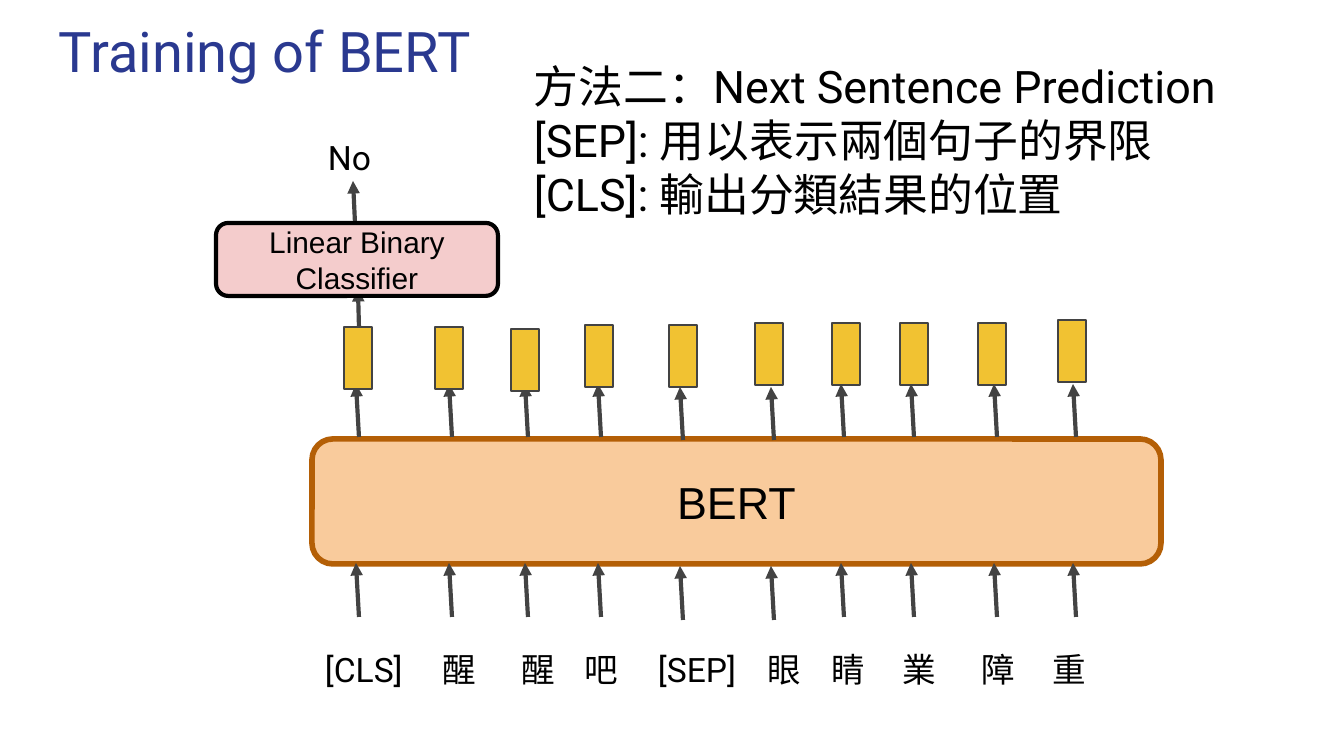
"""Build the slide on BERT training by next sentence prediction."""
from lxml import etree
from pptx import Presentation
from pptx.dml.color import RGBColor
from pptx.enum.shapes import MSO_CONNECTOR, MSO_SHAPE
from pptx.enum.text import MSO_ANCHOR, PP_ALIGN
from pptx.oxml.ns import qn
from pptx.util import Emu, Pt

RECT, ROUND = MSO_SHAPE.RECTANGLE, MSO_SHAPE.ROUNDED_RECTANGLE
STRAIGHT = MSO_CONNECTOR.STRAIGHT
MIDDLE = MSO_ANCHOR.MIDDLE
LEFT, CENTER = PP_ALIGN.LEFT, PP_ALIGN.CENTER
SCALE = 914400 / 134.4
INSET = 13

TITLE = ["Training of BERT"]
METHOD = [
    "方法二：Next Sentence Prediction",
    "[SEP]: 用以表示兩個句子的界限",
    "[CLS]: 輸出分類結果的位置",
]
# token, token x, (output x, output y), arrow x, arrow drop
TOKENS = [
    ("[CLS]", 325, (344, 327), 356, 0),
    ("醒", 443, (435, 327), 449, 0),
    ("醒", 522, (511, 329), 525, 0),
    ("吧", 585, (585, 325), 598, 0),
    ("[SEP]", 658, (669, 325), 680, 3),
    ("眼", 768, (755, 323), 771, 3),
    ("睛", 832, (832, 323), 841, 0),
    ("業", 903, (900, 323), 911, 0),
    ("障", 982, (978, 323), 994, 0),
    ("重", 1053, (1058, 320), 1073, 0),
]
OUTPUT_SIZE = (28, 62)
ARROW_ROWS = [(437, 384), (617, 563)]
CLASSIFIER_ARROWS = [((359, 327), (358, 289)), ((355, 223), (353, 181))]
TOKEN_BOX = (312, 636, 863, 75)

HEADING = {"size": Pt(30), "name": "Roboto"}
BODY = {"size": Pt(24), "name": "Roboto"}
SMALL = {"size": Pt(18), "name": "Roboto"}
MODEL = {"size": Pt(24), "name": "Arial"}
LABEL = {"size": Pt(16), "name": "Arial"}


def px(*values):
    return [Emu(round(v * SCALE)) for v in values]


def rgb(value):
    return RGBColor.from_string(value)


def write(sp, lines, font, color="000000", align=LEFT):
    tf = sp.text_frame
    tf.word_wrap = True
    for side in ("left", "top", "right", "bottom"):
        setattr(tf, f"margin_{side}", px(INSET)[0])
    for i, line in enumerate(lines):
        p = tf.add_paragraph() if i else tf.paragraphs[0]
        p.alignment = align
        r = p.add_run()
        r.text = line
        r.font.color.rgb = rgb(color)
        for key, value in font.items():
            setattr(r.font, key, value)
    return tf


def add_text(s, box, *args, **kwargs):
    return write(s.shapes.add_textbox(*px(*box)), *args, **kwargs)


def add_box(s, kind, box, fill, line, width):
    sp = s.shapes.add_shape(kind, *px(*box))
    sp.shadow.inherit = False
    sp.fill.solid()
    sp.fill.fore_color.rgb = rgb(fill)
    sp.line.color.rgb = rgb(line)
    sp.line.width = Pt(width)
    return sp


def add_label(s, box, fill, line, width, text, font):
    sp = add_box(s, ROUND, box, fill, line, width)
    write(sp, [text], font, align=CENTER).vertical_anchor = MIDDLE


def add_arrow(s, start, end):
    sp = s.shapes.add_connector(STRAIGHT, *px(*start, *end))
    sp.line.color.rgb = rgb("434343")
    sp.line.width = Pt(2.25)
    etree.SubElement(sp.line._get_or_add_ln(), qn("a:tailEnd"), type="triangle")
    etree.SubElement(sp._element.spPr, qn("a:effectLst"))


def add_tokens(s):
    line = "\t".join(token for token, *_ in TOKENS)
    p = add_text(s, TOKEN_BOX, [line], SMALL).paragraphs[0]
    tabs = etree.SubElement(p._p.get_or_add_pPr(), qn("a:tabLst"))
    for _, x, *_ in TOKENS[1:]:
        pos = px(x - TOKEN_BOX[0] - INSET)[0]
        etree.SubElement(tabs, qn("a:tab"), pos=str(int(pos)), algn="l")


def main():
    prs = Presentation()
    prs.slide_width, prs.slide_height = px(1344, 756)
    s = prs.slides.add_slide(prs.slide_layouts[6])
    add_text(s, (46, 4, 1253, 89), TITLE, HEADING, "2A3990")
    add_text(s, (521, 46, 739, 218), METHOD, BODY)
    add_label(s, (312, 439, 849, 125), "F9CB9C", "B45F06", 3, "BERT", MODEL)
    for bottom, top in ARROW_ROWS:
        for *_, x, drop in TOKENS:
            add_arrow(s, (x + 3, bottom + drop), (x, top + drop))
    for _, _, corner, *_ in TOKENS:
        add_box(s, RECT, corner + OUTPUT_SIZE, "F1C232", "434343", 0.75)
    for start, end in CLASSIFIER_ARROWS:
        add_arrow(s, start, end)
    add_label(s, (216, 223, 282, 73), "F4CCCC", "000000", 2.25,
              "Linear Binary Classifier", LABEL)
    add_text(s, (267, 124, 165, 52), ["No"], SMALL, align=CENTER)
    add_tokens(s)
    prs.save("out.pptx")


if __name__ == "__main__":
    main()
